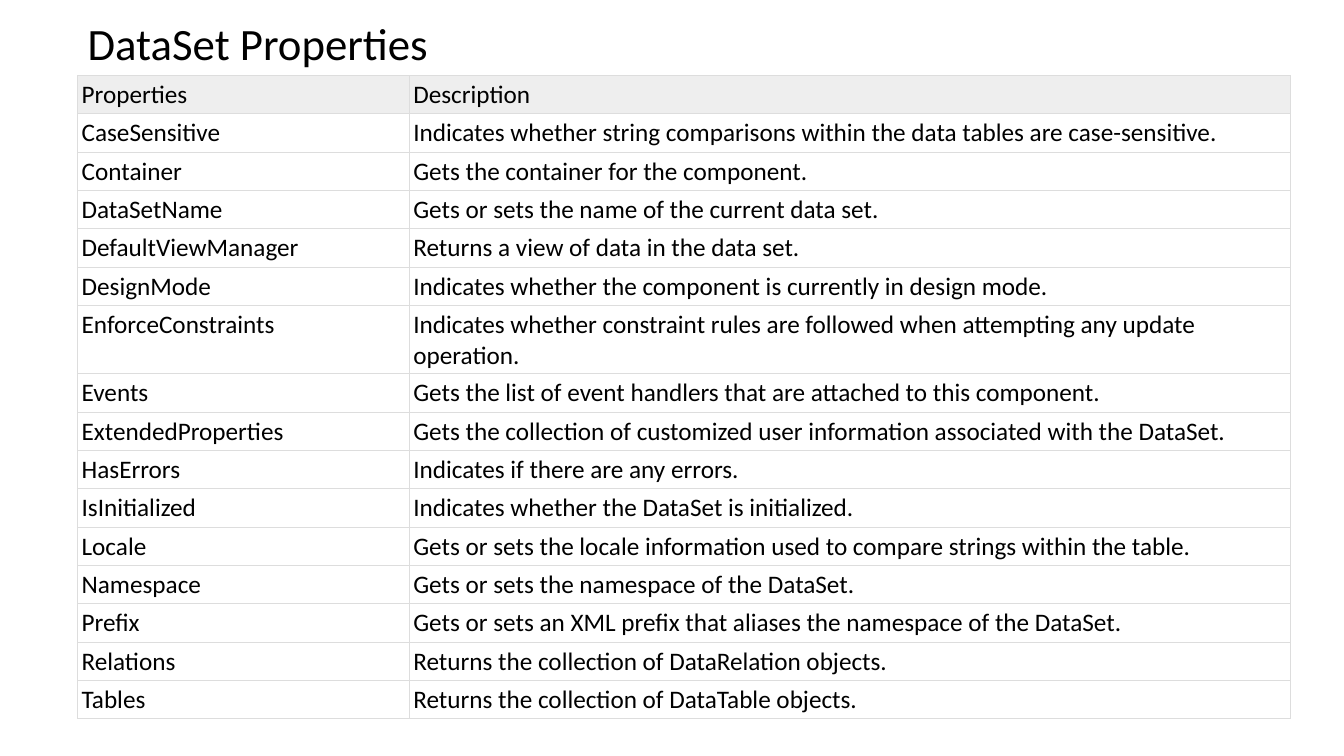
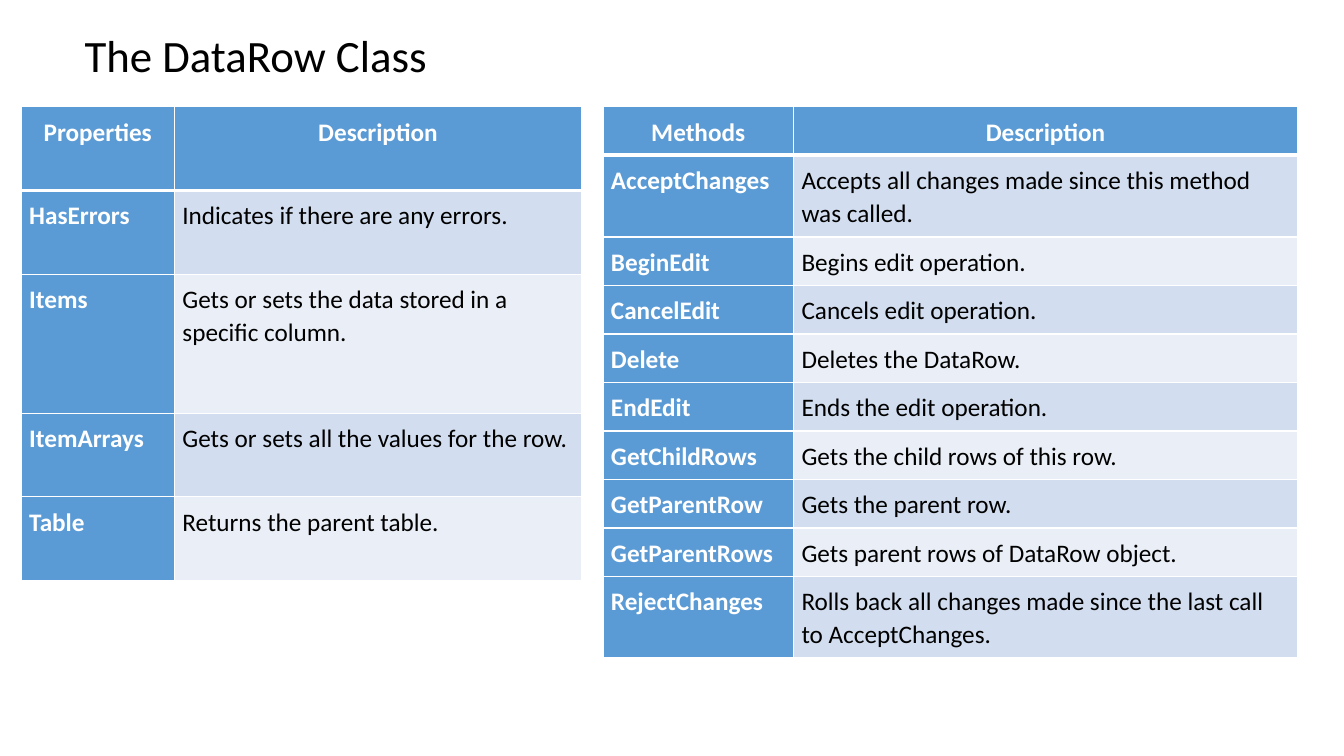
from lxml import etree
from pptx import Presentation
from pptx.dml.color import RGBColor
from pptx.enum.text import MSO_AUTO_SIZE, PP_ALIGN
from pptx.oxml.ns import qn
from pptx.util import Inches, Pt

LEFT, CENTER = PP_ALIGN.LEFT, PP_ALIGN.CENTER
GROW = MSO_AUTO_SIZE.SHAPE_TO_FIT_TEXT

FONT = "Calibri"
BLACK, WHITE = "000000", "FFFFFF"
GREY, RULE = "EEEEEE", "DDDDDD"
BLUE, BAND_DARK, BAND_LIGHT = "5B9BD5", "D2DEEF", "EAEFF7"

# Content
DATASET_ROWS = [
    ("Properties", "Description"),
    ("CaseSensitive", "Indicates whether string comparisons within the data tables are case-sensitive."),
    ("Container", "Gets the container for the component."),
    ("DataSetName", "Gets or sets the name of the current data set."),
    ("DefaultViewManager", "Returns a view of data in the data set."),
    ("DesignMode", "Indicates whether the component is currently in design mode."),
    ("EnforceConstraints", "Indicates whether constraint rules are followed when attempting any update operation."),
    ("Events", "Gets the list of event handlers that are attached to this component."),
    ("ExtendedProperties", "Gets the collection of customized user information associated with the DataSet."),
    ("HasErrors", "Indicates if there are any errors."),
    ("IsInitialized", "Indicates whether the DataSet is initialized."),
    ("Locale", "Gets or sets the locale information used to compare strings within the table."),
    ("Namespace", "Gets or sets the namespace of the DataSet."),
    ("Prefix", "Gets or sets an XML prefix that aliases the namespace of the DataSet."),
    ("Relations", "Returns the collection of DataRelation objects."),
    ("Tables", "Returns the collection of DataTable objects."),
]
DATAROW_PROPERTIES = [
    ("Properties", "Description"),
    ("HasErrors", "Indicates if there are any errors."),
    ("Items", "Gets or sets the data stored in a specific column."),
    ("ItemArrays", "Gets or sets all the values for the row."),
    ("Table", "Returns the parent table."),
]
DATAROW_METHODS = [
    ("Methods", "Description"),
    ("AcceptChanges", "Accepts all changes made since this method was called."),
    ("BeginEdit", "Begins edit operation."),
    ("CancelEdit", "Cancels edit operation."),
    ("Delete", "Deletes the DataRow."),
    ("EndEdit", "Ends the edit operation."),
    ("GetChildRows", "Gets the child rows of this row."),
    ("GetParentRow", "Gets the parent row."),
    ("GetParentRows", "Gets parent rows of DataRow object."),
    ("RejectChanges", "Rolls back all changes made since the last call to AcceptChanges."),
]

# Table looks
PLAIN = {
    "inset": 0.04, "rule": RULE, "rule_width": 0.75, "header_rule": 0.75,
    "header_fill": GREY, "label_fill": WHITE, "bands": (WHITE, WHITE),
    "label_color": BLACK, "label_bold": False, "header_align": LEFT,
    "paragraph": {},
}
BANDED = {
    "inset": 0.08, "rule": WHITE, "rule_width": 1, "header_rule": 3,
    "header_fill": BLUE, "label_fill": BLUE, "bands": (BAND_DARK, BAND_LIGHT),
    "label_color": WHITE, "label_bold": True, "header_align": CENTER,
    "paragraph": {"line_spacing": 1.07, "space_after": Pt(15)},
}

# Row heights: the usual one, then the taller rows by index
SLIDES = [
    {"title": ("DataSet Properties", 0.77, 0.11, 3.65),
     "tables": [(DATASET_ROWS, PLAIN, (0.77, 0.75), (3.29, 8.74), 0.38, {6: 0.68})]},
    {"title": ("The DataRow Class", 0.74, 0.23, 4.06),
     "tables": [
         (DATAROW_PROPERTIES, BANDED, (0.21, 1.06), (1.52, 4.04), 0.83, {2: 1.38}),
         (DATAROW_METHODS, BANDED, (5.98, 1.06), (1.89, 5), 0.48, {1: 0.81, 9: 0.81}),
     ]},
]


def rgb(color):
    return RGBColor.from_string(color)


def set_attributes(target, values):
    for name, value in values.items():
        setattr(target, name, value)


def write(frame, text, size, color=BLACK, bold=False, align=LEFT, paragraph_format=None):
    paragraph = frame.paragraphs[0]
    set_attributes(paragraph, {"alignment": align, **(paragraph_format or {})})
    run = paragraph.add_run()
    run.text = text
    set_attributes(run.font, {"name": FONT, "size": Pt(size), "bold": bold})
    run.font.color.rgb = rgb(color)


def add_title(slide, text, left, top, width):
    box = slide.shapes.add_textbox(Inches(left), Inches(top), Inches(width), Inches(0.64))
    set_attributes(box.text_frame, {"word_wrap": True, "auto_size": GROW})
    write(box.text_frame, text, 32)


def set_borders(cell, color, widths):
    properties = cell._tc.get_or_add_tcPr()
    for side, width in zip("LRTB", widths):
        line = etree.SubElement(properties, qn(f"a:ln{side}"), w=str(Pt(width)))
        fill = etree.SubElement(line, qn("a:solidFill"))
        etree.SubElement(fill, qn("a:srgbClr"), val=color)


def format_cell(cell, text, row, column, look):
    header, label = row == 0, column == 0
    inset = Inches(look["inset"])
    set_attributes(cell, {f"margin_{side}": inset for side in ("left", "right", "top", "bottom")})

    # The header rule is shared by the first two rows
    thin, thick = look["rule_width"], look["header_rule"]
    above = thick if row == 1 else thin
    below = thick if header else thin
    set_borders(cell, look["rule"], (thin, thin, above, below))

    if header:
        fill = look["header_fill"]
    elif label:
        fill = look["label_fill"]
    else:
        fill = look["bands"][(row - 1) % 2]
    cell.fill.solid()
    cell.fill.fore_color.rgb = rgb(fill)

    strong = header or label
    write(cell.text_frame, text, 18,
          color=look["label_color"] if strong else BLACK,
          bold=look["label_bold"] and strong,
          align=look["header_align"] if header else LEFT,
          paragraph_format=look["paragraph"])


def add_table(slide, rows, look, position, widths, row_height, tall_rows):
    heights = [tall_rows.get(index, row_height) for index in range(len(rows))]
    left, top = position
    table = slide.shapes.add_table(
        len(rows), len(widths), Inches(left), Inches(top),
        Inches(sum(widths)), Inches(sum(heights))).table
    set_attributes(table, {"first_row": False, "horz_banding": False})
    for column, width in zip(table.columns, widths):
        column.width = Inches(width)
    for row, (texts, height) in enumerate(zip(rows, heights)):
        table.rows[row].height = Inches(height)
        for column, text in enumerate(texts):
            format_cell(table.cell(row, column), text, row, column, look)


def main():
    deck = Presentation()
    deck.slide_width, deck.slide_height = Inches(13.33), Inches(7.5)
    for content in SLIDES:
        slide = deck.slides.add_slide(deck.slide_layouts[6])
        add_title(slide, *content["title"])
        for table in content["tables"]:
            add_table(slide, *table)
    deck.save("out.pptx")


if __name__ == "__main__":
    main()
